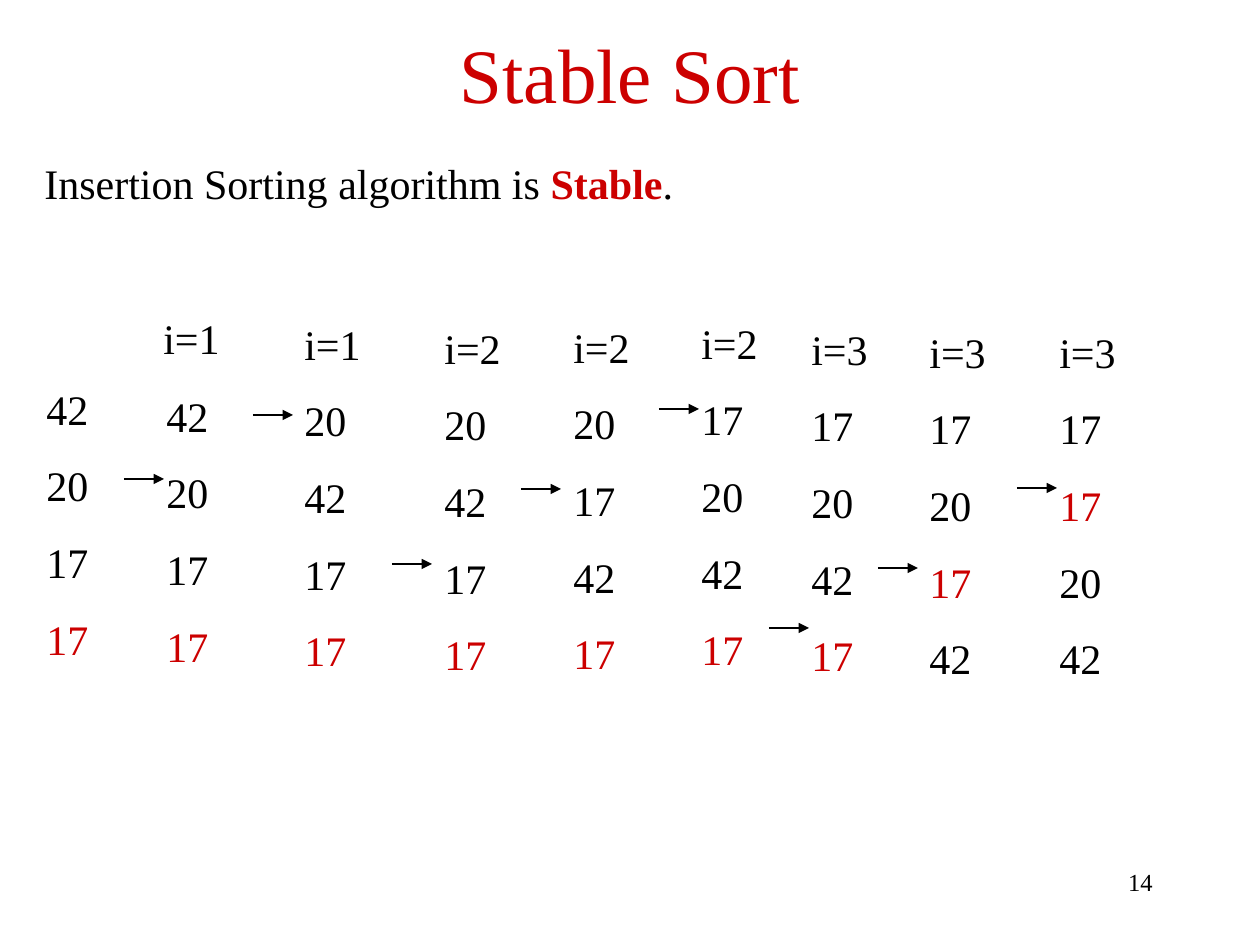
from dataclasses import dataclass

from lxml.etree import SubElement
from pptx import Presentation
from pptx.dml.color import RGBColor
from pptx.enum.shapes import MSO_CONNECTOR as Connector
from pptx.enum.text import MSO_ANCHOR as Anchor, MSO_AUTO_SIZE as AutoSize, PP_ALIGN as Align
from pptx.oxml.ns import qn
from pptx.util import Emu, Pt

PIXELS_PER_INCH = 126
COLUMN_WIDTH = 89
ARROW_LENGTH = 40


@dataclass(frozen=True)
class Theme:
    font: str = "Times New Roman"
    ink: RGBColor = RGBColor(0x00, 0x00, 0x00)
    accent: RGBColor = RGBColor(0xCC, 0x00, 0x00)
    paper: RGBColor = RGBColor(0xFF, 0xFF, 0xFF)
    title: int = 44
    body: int = 24
    page_number: int = 14
    body_gap: int = 6
    value_gap: int = 15
    arrow_width: float = 0.75


THEME = Theme()

SORT_STATES = [
    (34, 377, ["42", "20", "17", "17"], 3),
    (154, 384, ["42", "20", "17", "17"], 3),
    (292, 312, ["i=1", "20", "42", "17", "17"], 4),
    (432, 316, ["i=2", "20", "42", "17", "17"], 4),
    (561, 315, ["i=2", "20", "17", "42", "17"], 4),
    (689, 311, ["i=2", "17", "20", "42", "17"], 4),
    (799, 317, ["i=3", "17", "20", "42", "17"], 4),
    (917, 320, ["i=3", "17", "20", "17", "42"], 3),
    (1047, 320, ["i=3", "17", "17", "20", "42"], 2),
]

ARROW_STARTS = [
    (124, 479), (253, 415), (392, 564), (521, 489),
    (659, 409), (769, 628), (878, 568), (1017, 488),
]


def px(length):
    return Emu(round(length * 914400 / PIXELS_PER_INCH))


def style_run(run, size, color, bold=False):
    run.font.name = THEME.font
    run.font.size = Pt(size)
    run.font.color.rgb = color
    run.font.bold = bold


def add_text(slide, box, text, size=THEME.body, color=THEME.ink,
             align=Align.LEFT, anchor=Anchor.TOP):
    shape = slide.shapes.add_textbox(*map(px, box))
    text_frame = shape.text_frame
    text_frame.word_wrap = True
    text_frame.vertical_anchor = anchor
    text_frame.text = text
    for paragraph in text_frame.paragraphs:
        paragraph.alignment = align
        for run in paragraph.runs:
            style_run(run, size, color)
    return text_frame


def add_statement(slide):
    text_frame = add_text(slide, (32, 165, 1075, 466), "Insertion Sorting algorithm is ")
    paragraph = text_frame.paragraphs[0]
    paragraph.line_spacing = 0.7
    paragraph.space_before = Pt(THEME.body_gap)
    for text, color, bold in [("Stable", THEME.accent, True), (".", THEME.ink, False)]:
        run = paragraph.add_run()
        run.text = text
        style_run(run, THEME.body, color, bold)


def add_sort_state(slide, left, top, values, marked):
    height = 446 if len(values) == 5 else 370
    text_frame = add_text(slide, (left, top, COLUMN_WIDTH, height), "\n".join(values))
    text_frame.auto_size = AutoSize.SHAPE_TO_FIT_TEXT
    for paragraph in text_frame.paragraphs:
        paragraph.space_before = Pt(THEME.value_gap)
    text_frame.paragraphs[marked].runs[0].font.color.rgb = THEME.accent


def add_arrow(slide, left, y):
    arrow = slide.shapes.add_connector(
        Connector.STRAIGHT, px(left), px(y), px(left + ARROW_LENGTH), px(y))
    arrow.line.color.rgb = THEME.ink
    arrow.line.width = Pt(THEME.arrow_width)
    SubElement(arrow.line._get_or_add_ln(), qn("a:tailEnd"), type="triangle")
    SubElement(arrow._element.spPr, qn("a:effectLst"))


def main():
    presentation = Presentation()
    presentation.slide_width, presentation.slide_height = px(1260), px(945)
    slide = presentation.slides.add_slide(presentation.slide_layouts[6])
    slide.background.fill.solid()
    slide.background.fill.fore_color.rgb = THEME.paper

    add_text(slide, (63, 10, 1134, 126), "Stable Sort", THEME.title, THEME.accent,
             Align.CENTER, Anchor.MIDDLE)
    add_statement(slide)
    for state in SORT_STATES:
        add_sort_state(slide, *state)
    add_text(slide, (151, 306, COLUMN_WIDTH, 63), "i=1")
    for start in ARROW_STARTS:
        add_arrow(slide, *start)
    add_text(slide, (903, 861, 262, 63), "14", THEME.page_number, align=Align.RIGHT)

    presentation.save("out.pptx")


if __name__ == "__main__":
    main()
